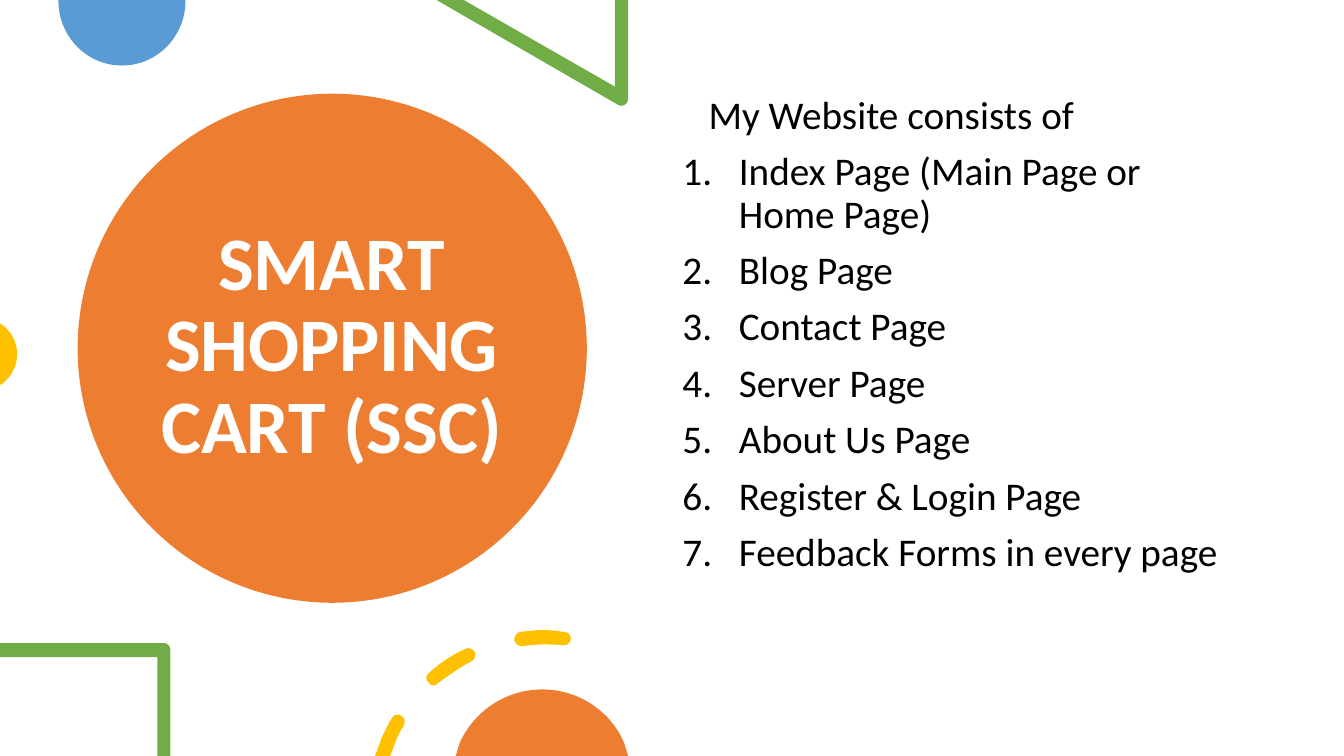
from pptx import Presentation
from pptx.dml.color import RGBColor
from pptx.enum.shapes import MSO_SHAPE
from pptx.enum.text import MSO_ANCHOR, PP_ALIGN
from pptx.oxml.ns import qn
from pptx.util import Pt
from lxml.etree import SubElement

PX = 9144  # 100 px to the inch
COLORS = {"orange": "ED7D31", "blue": "5B9BD5", "green": "70AD47",
          "yellow": "FFC000", "white": "FFFFFF", "black": "000000"}

prs = Presentation()
prs.slide_width, prs.slide_height = 1333 * PX, 750 * PX
s = prs.slides.add_slide(prs.slide_layouts[6])


def paint(sp, color):
    sp.fill.solid()
    sp.fill.fore_color.rgb = RGBColor.from_string(COLORS[color])
    sp.line.fill.background()
    sp.shadow.inherit = False


def bend(sp, segments):
    """Replace the straight line of each six-number segment by a Bezier curve."""
    outline = next(sp._element.iter(qn("a:path")))
    left, top = round(sp.left / PX), round(sp.top / PX)
    for line, segment in zip(outline.findall(qn("a:lnTo")), segments):
        if len(segment) == 6:
            curve = SubElement(outline, qn("a:cubicBezTo"))
            for x, y in zip(segment[::2], segment[1::2]):
                SubElement(curve, qn("a:pt"), x=str(x - left), y=str(y - top))
            outline.replace(line, curve)


title_disc = s.shapes.add_shape(MSO_SHAPE.OVAL, 77 * PX, 93 * PX, 505 * PX, 505 * PX)
paint(title_disc, "orange")

# Each outline: a start, then line ends (x, y) or curves (x1, y1, x2, y2, x, y)
blue_disc = [(184, 0), (58, 0), (58, 1), (58, 36, 86, 65, 121, 65),
             (156, 65, 184, 36, 184, 1)]
triangle = [(623, 0), (610, 0), (610, 86), (460, 0), (433, 0), (613, 104),
            (614, 105, 615, 105, 616, 105), (620, 105, 623, 102, 623, 98)]
yellow_disc = [(0, 321), (0, 382), (2, 381), (11, 374, 17, 364, 17, 351),
               (17, 339, 11, 329, 2, 322)]
frame = [(163, 638), (0, 638), (0, 652), (156, 652), (156, 750), (169, 750),
         (169, 645), (169, 641, 166, 638, 163, 638)]
low_dash = [(395, 709), (393, 708, 390, 710, 389, 712), (385, 718, 382, 725, 379, 731),
            (372, 750), (387, 750), (392, 737), (394, 731, 397, 725, 401, 719),
            (402, 716, 401, 711, 398, 710), (397, 709, 396, 709, 395, 709)]
middle_dash = [(464, 643), (463, 643, 462, 643, 461, 644), (448, 650, 436, 658, 425, 668),
               (422, 670, 422, 675, 425, 677), (426, 679, 428, 680, 430, 680),
               (432, 680, 433, 679, 434, 678), (445, 670, 456, 662, 468, 656),
               (471, 654, 472, 650, 471, 647), (469, 644, 467, 643, 464, 643)]
top_dash = [(538, 625), (531, 625, 524, 626, 516, 627), (513, 627, 510, 631, 510, 635),
            (511, 638, 514, 641, 517, 641), (518, 641), (532, 639, 545, 639, 558, 640),
            (562, 641, 565, 638, 566, 635), (567, 631, 564, 627, 560, 627),
            (553, 626, 545, 625, 538, 625)]
orange_disc = [(538, 684), (501, 684, 470, 706, 456, 737), (452, 750), (623, 750),
               (619, 737), (606, 706, 574, 684, 538, 684)]

for color, contours in [("blue", [blue_disc]), ("green", [triangle]),
                        ("yellow", [yellow_disc]), ("green", [frame]),
                        ("yellow", [low_dash, middle_dash, top_dash]),
                        ("orange", [orange_disc])]:
    fb = s.shapes.build_freeform(*contours[0][0], scale=PX)
    for i, contour in enumerate(contours):
        if i:
            fb.move_to(*contour[0])
        fb.add_line_segments([segment[-2:] for segment in contour[1:]], close=True)
    sp = fb.convert_to_shape()
    bend(sp, [segment for contour in contours for segment in contour[1:]])
    paint(sp, color)

title = s.shapes.add_textbox(141 * PX, 225 * PX, 376 * PX, 239 * PX)
tf = title.text_frame
tf.word_wrap = True
tf.vertical_anchor = MSO_ANCHOR.MIDDLE
p = tf.paragraphs[0]
p.text = "SMART SHOPPING CART (SSC)"
p.alignment = PP_ALIGN.CENTER
p.line_spacing = 0.9
font = p.runs[0].font
font.name, font.size, font.bold = "Calibri", Pt(54), True
font.color.rgb = RGBColor.from_string(COLORS["white"])

pages = ["Index Page (Main Page or Home Page)", "Blog Page", "Contact Page",
         "Server Page", "About Us Page", "Register & Login Page",
         "Feedback Forms in every page"]
body = s.shapes.add_textbox(667 * PX, 90 * PX, 575 * PX, 535 * PX)
tf = body.text_frame
tf.word_wrap = True
for i, text in enumerate(["My Website consists of"] + pages):
    p = tf.add_paragraph() if i else tf.paragraphs[0]
    p.text = text
    p.line_spacing = 0.9
    pPr = p._p.get_or_add_pPr()
    if i:
        p.space_before = Pt(10)
        pPr.set("marL", str(56 * PX))
        pPr.set("indent", str(-56 * PX))
        SubElement(pPr, qn("a:buAutoNum"), type="arabicPeriod")
    else:
        pPr.set("marL", str(26 * PX))
        pPr.set("indent", "0")
    font = p.runs[0].font
    font.name, font.size = "Calibri", Pt(28)
    font.color.rgb = RGBColor.from_string(COLORS["black"])

prs.save("out.pptx")
